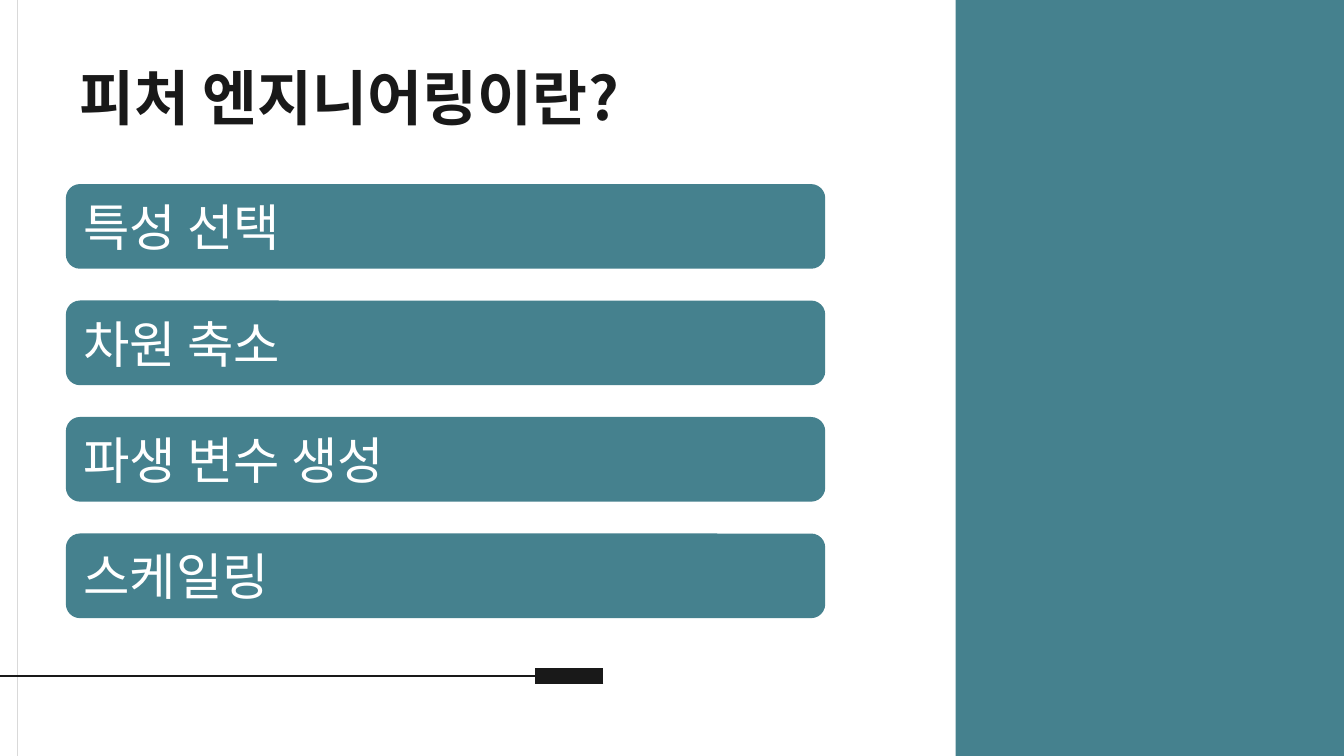
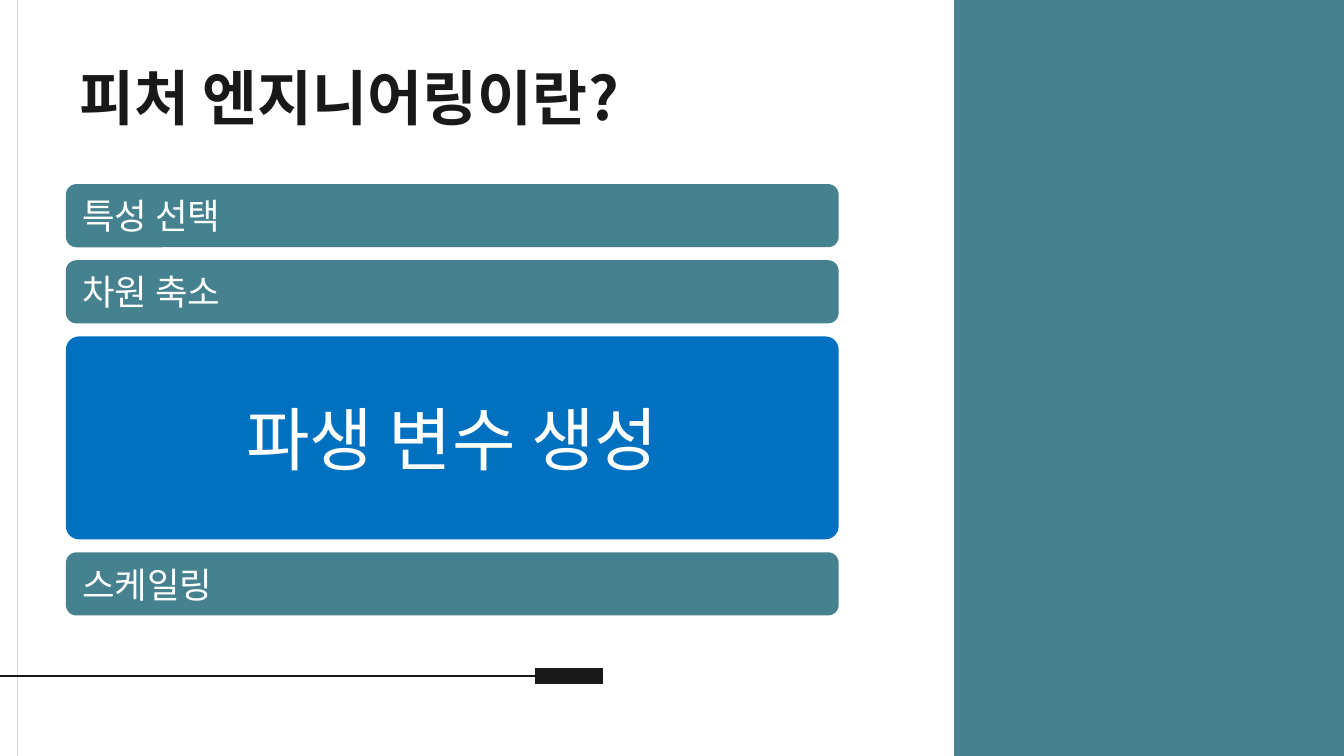
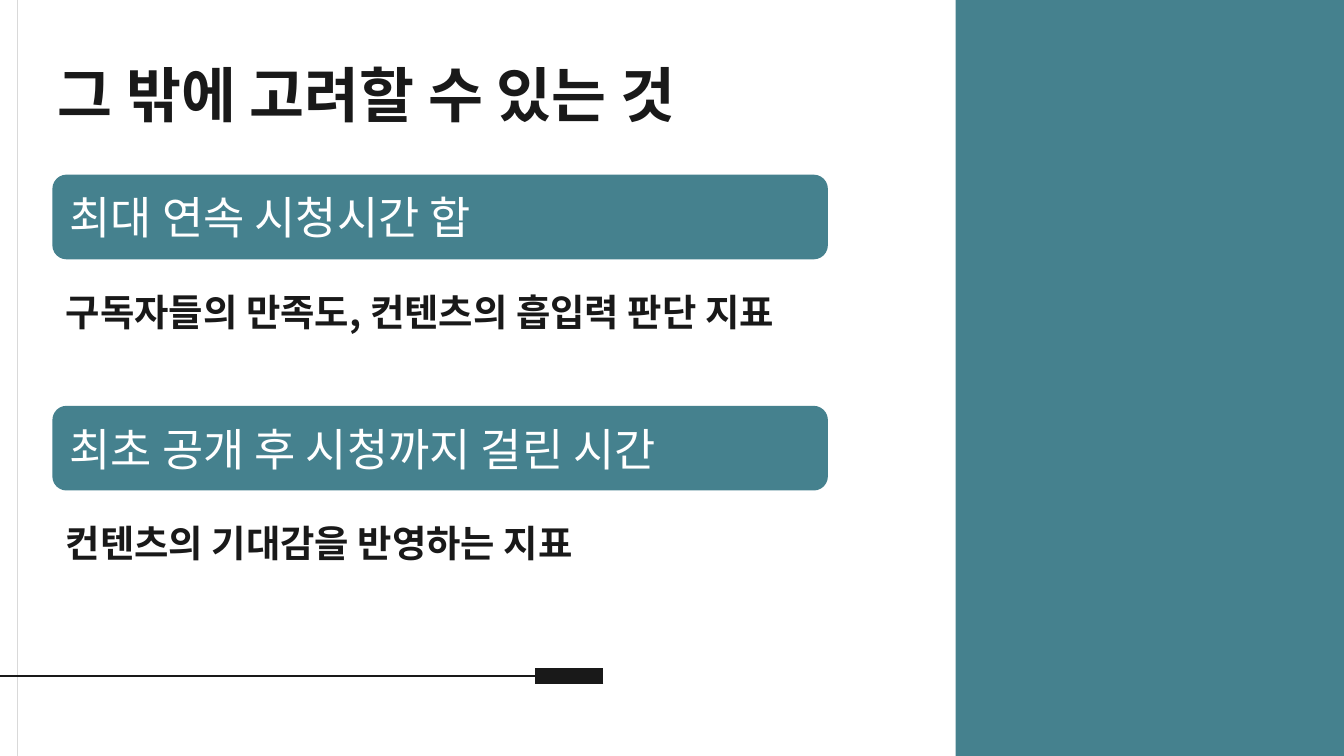
from dataclasses import dataclass

from lxml import etree
from pptx import Presentation
from pptx.dml.color import RGBColor
from pptx.enum.shapes import MSO_CONNECTOR, MSO_SHAPE
from pptx.enum.text import MSO_ANCHOR, MSO_AUTO_SIZE, PP_ALIGN
from pptx.oxml.ns import qn
from pptx.util import Inches, Pt

RECTANGLE = MSO_SHAPE.RECTANGLE
ROUNDED = MSO_SHAPE.ROUNDED_RECTANGLE
STRAIGHT = MSO_CONNECTOR.STRAIGHT
TOP, MIDDLE = MSO_ANCHOR.TOP, MSO_ANCHOR.MIDDLE
LEFT, CENTER = PP_ALIGN.LEFT, PP_ALIGN.CENTER
NO_AUTOFIT = MSO_AUTO_SIZE.NONE

SLIDE_WIDTH = 10
SLIDE_HEIGHT = SLIDE_WIDTH * 9 / 16
TITLE_ONLY = 5


@dataclass(frozen=True)
class Theme:
    font: str = "Noto Sans CJK KR"
    teal: str = "45818E"
    blue: str = "0070C0"
    ink: str = "191919"
    rule: str = "D9D9D9"
    white: str = "FFFFFF"
    title_size: int = 32
    topic_size: int = 27
    small_topic_size: int = 19
    focus_size: int = 37
    metric_size: int = 24
    note_size: int = 20


def write_text(shape, text, *, theme, size, color, bold=False,
               align=LEFT, anchor=TOP, inset=None):
    """Fill a shape with one formatted paragraph."""
    frame = shape.text_frame
    frame.word_wrap = True
    frame.auto_size = NO_AUTOFIT
    frame.vertical_anchor = anchor
    if inset is not None:
        frame.margin_left = frame.margin_right = Inches(inset)
        frame.margin_top = frame.margin_bottom = Inches(inset)
    paragraph = frame.paragraphs[0]
    paragraph.alignment = align
    run = paragraph.add_run()
    run.text = text
    run.font.size = Pt(size)
    run.font.bold = bold
    run.font.color.rgb = RGBColor.from_string(color)
    run.font.name = theme.font
    # Hangul takes the East Asian typeface
    east_asian = etree.SubElement(run._r.get_or_add_rPr(), qn("a:ea"))
    east_asian.set("typeface", theme.font)


class Deck:
    def __init__(self, theme):
        self.theme = theme
        self.presentation = Presentation()
        self.presentation.slide_width = Inches(SLIDE_WIDTH)
        self.presentation.slide_height = Inches(SLIDE_HEIGHT)
        self.slide = None

    def new_slide(self, title, left, top, width):
        layout = self.presentation.slide_layouts[TITLE_ONLY]
        self.slide = self.presentation.slides.add_slide(layout)
        self.decorate()
        heading = self.slide.shapes.title
        heading.left, heading.top = Inches(left), Inches(top)
        heading.width, heading.height = Inches(width), Inches(0.63)
        write_text(heading, title, theme=self.theme, size=self.theme.title_size,
                   color=self.theme.ink, bold=True, inset=0.1)

    def decorate(self):
        """Side panel, margin rule and footer rule of every slide."""
        theme = self.theme
        self.panel(7.11, 2.89)
        self.line((0.13, -0.04), (0.13, 5.66), theme.rule, 0.75)
        self.line((4.49, 5.03), (3.98, 5.03), theme.ink, 9)
        self.line((3.98, 5.03), (-0.1, 5.03), theme.ink, 0.75)

    def panel(self, left, width):
        self.block(RECTANGLE, left, 0, width, SLIDE_HEIGHT, self.theme.teal)

    def block(self, kind, left, top, width, height, fill):
        block = self.slide.shapes.add_shape(
            kind, Inches(left), Inches(top), Inches(width), Inches(height))
        block.shadow.inherit = False
        block.fill.solid()
        block.fill.fore_color.rgb = RGBColor.from_string(fill)
        block.line.fill.background()
        return block

    def line(self, start, end, color, weight):
        points = [Inches(value) for value in (*start, *end)]
        rule = self.slide.shapes.add_connector(STRAIGHT, *points)
        rule.line.color.rgb = RGBColor.from_string(color)
        rule.line.width = Pt(weight)
        etree.SubElement(rule._element.spPr, qn("a:effectLst"))

    def bar(self, text, left, top, width, height, size,
            fill=None, align=LEFT, corner=None):
        bar = self.block(ROUNDED, left, top, width, height, fill or self.theme.teal)
        if corner is not None:
            bar.adjustments[0] = corner
        write_text(bar, text, theme=self.theme, size=size,
                   color=self.theme.white, align=align, anchor=MIDDLE)

    def note(self, text, left, top, width, height):
        note = self.slide.shapes.add_textbox(
            Inches(left), Inches(top), Inches(width), Inches(height))
        write_text(note, text, theme=self.theme, size=self.theme.note_size,
                   color=self.theme.ink, bold=True, inset=0.1)

    def topics(self, topics, width, height, size, bottom, focus=None):
        """Stack topic bars with equal gaps; the focused one is enlarged."""
        left, top, focus_height = 0.49, 1.37, 1.51
        heights = [focus_height if topic == focus else height for topic in topics]
        gap = (bottom - top - sum(heights)) / (len(topics) - 1)
        for topic, bar_height in zip(topics, heights):
            if topic == focus:
                self.bar(topic, left, top, width, bar_height, self.theme.focus_size,
                         fill=self.theme.blue, align=CENTER, corner=0.065)
            else:
                self.bar(topic, left, top, width, bar_height, size)
            top += bar_height + gap


def main():
    theme = Theme()
    deck = Deck(theme)
    question = "피처 엔지니어링이란?"
    derived = "파생 변수 생성"
    steps = ["특성 선택", "차원 축소", derived, "스케일링"]

    # Overview of feature engineering
    deck.new_slide(question, 0.49, 0.35, 5.7)
    deck.topics(steps, 5.65, 0.63, theme.topic_size, bottom=4.6)

    # Focus on derived variables
    deck.new_slide(question, 0.49, 0.35, 5.7)
    deck.topics(steps, 5.75, 0.47, theme.small_topic_size, bottom=4.58, focus=derived)
    deck.panel(7.1, 2.9)

    # Further metrics
    deck.new_slide("그 밖에 고려할 수 있는 것", 0.33, 0.33, 6.68)
    deck.panel(7.18, 2.7)
    metrics = [
        ("최대 연속 시청시간 합", "구독자들의 만족도, 컨텐츠의 흡입력 판단 지표"),
        ("최초 공개 후 시청까지 걸린 시간", "컨텐츠의 기대감을 반영하는 지표"),
    ]
    for row, (metric, meaning) in enumerate(metrics):
        top = 1.3 + row * 1.72
        deck.bar(metric, 0.39, top, 5.77, 0.63, theme.metric_size)
        deck.note(meaning, 0.39, top + 0.75, 6.68, 0.63)

    deck.presentation.save("out.pptx")


if __name__ == "__main__":
    main()
